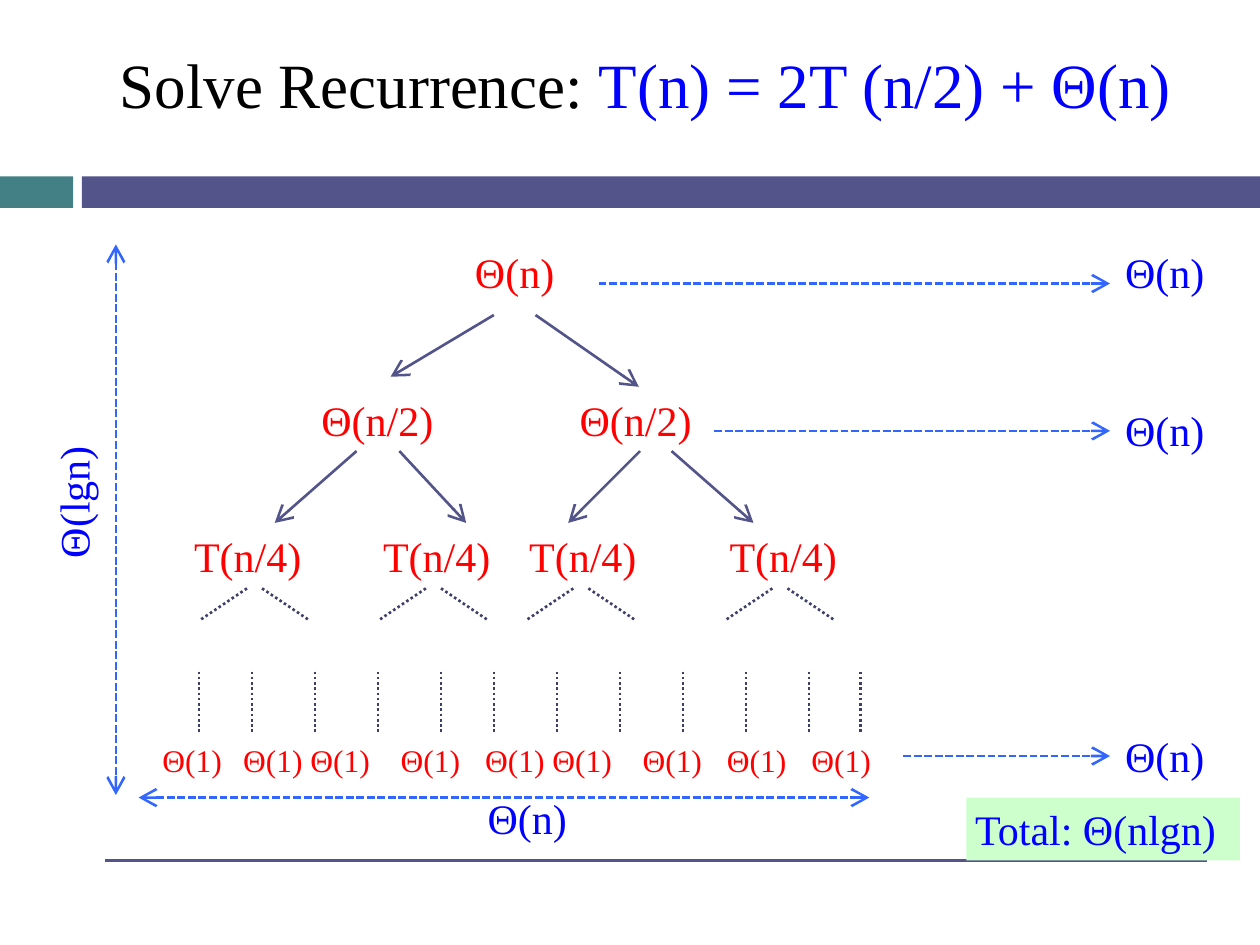
from dataclasses import dataclass

from lxml.etree import SubElement
from pptx import Presentation
from pptx.dml.color import RGBColor
from pptx.enum.dml import MSO_LINE_DASH_STYLE as DASH
from pptx.enum.shapes import MSO_CONNECTOR as CONNECTOR, MSO_SHAPE as SHAPE
from pptx.enum.text import MSO_ANCHOR as ANCHOR
from pptx.oxml.ns import qn
from pptx.util import Inches, Pt


@dataclass(frozen=True)
class Theme:
    font: str = "Times New Roman"
    title_size: float = 36
    label_size: float = 24
    leaf_size: float = 18
    line_width: float = 1.5
    black: str = "000000"
    blue: str = "0000FF"
    red: str = "FF0000"
    teal: str = "438086"
    purple: str = "53548A"
    dots: str = "3E3F68"
    measure: str = "3366FF"
    total: str = "CCFFCC"


@dataclass(frozen=True)
class Box:
    left: float
    top: float
    width: float
    height: float

    def point(self, x, y):
        return Inches(self.left + x), Inches(self.top + y)

    def inner(self, x, y, width, height):
        return Box(self.left + x, self.top + y, width, height)

    def emu(self):
        return [Inches(v) for v in (self.left, self.top, self.width, self.height)]


THEME = Theme()


def add_text(slide, box, *runs, size=THEME.label_size, inset=0.01,
             rotated=False, line_spacing=None):
    frame = slide.shapes.add_textbox(*box.emu()).text_frame
    frame.word_wrap = False
    frame.vertical_anchor = ANCHOR.TOP
    frame.margin_left = Inches(inset)
    frame.margin_top = Inches(0 if rotated else 0.02)
    frame.margin_right = frame.margin_bottom = 0
    if rotated:
        frame._txBody.bodyPr.set("vert", "vert270")
    paragraph = frame.paragraphs[0]
    if line_spacing:
        paragraph.line_spacing = Pt(line_spacing)
    for words, color in runs:
        run = paragraph.add_run()
        run.text = words
        run.font.name = THEME.font
        run.font.size = Pt(size)
        run.font.color.rgb = RGBColor.from_string(color)


def add_bar(slide, box, color):
    bar = slide.shapes.add_shape(SHAPE.RECTANGLE, *box.emu())
    bar.shadow.inherit = False
    bar.fill.solid()
    bar.fill.fore_color.rgb = RGBColor.from_string(color)
    bar.line.fill.background()


def add_line(slide, start, end, color, dash=None, heads=()):
    connector = slide.shapes.add_connector(CONNECTOR.STRAIGHT, *start, *end)
    connector.line.color.rgb = RGBColor.from_string(color)
    connector.line.width = Pt(THEME.line_width)
    if dash:
        connector.line.dash_style = dash
    properties = connector._element.spPr
    for head in heads:
        SubElement(properties.find(qn("a:ln")), qn(f"a:{head}"),
                   type="arrow", w="lg", len="lg")
    SubElement(properties, qn("a:effectLst"))


def add_measure(slide, start, end, heads=("tailEnd",)):
    add_line(slide, start, end, THEME.measure, DASH.SQUARE_DOT, heads)


def draw_header(slide, box):
    add_text(slide, box.inner(0.69, 0.34, 8.61, 0.63),
             ("Solve Recurrence: ", THEME.black),
             ("T(n) = 2T (n/2) + Θ(n)", THEME.blue),
             size=THEME.title_size, inset=0.26)
    add_bar(slide, box.inner(0, 1.4, 0.58, 0.25), THEME.teal)
    add_bar(slide, box.inner(0.65, 1.4, 9.35, 0.25), THEME.purple)


def draw_tree(slide, box):
    levels = [
        ("Θ(n)", 0, 0.66, [2.66]),
        ("Θ(n/2)", 1.17, 0.92, [1.44, 3.49]),
        ("T(n/4)", 2.25, 0.88, [0.43, 1.93, 3.09, 4.68]),
    ]
    for label, y, width, lefts in levels:
        for x in lefts:
            add_text(slide, box.inner(x, y, width, 0.43), (label, THEME.red))

    branches = [
        (2.82, 0.56, 2, 1.05), (3.15, 0.56, 3.97, 1.13),
        (1.73, 1.64, 1.08, 2.21), (2.07, 1.64, 2.6, 2.21),
        (3.98, 1.64, 3.41, 2.21), (4.23, 1.64, 4.88, 2.21),
    ]
    for x1, y1, x2, y2 in branches:
        add_line(slide, box.point(x1, y1), box.point(x2, y2),
                 THEME.purple, heads=("tailEnd",))

    for apex in (0.92, 2.34, 3.51, 5.09):
        for side in (-1, 1):
            add_line(slide, box.point(apex + side * 0.06, 2.73),
                     box.point(apex + side * 0.43, 2.98),
                     THEME.dots, DASH.ROUND_DOT)

    for x in (0.48, 0.9, 1.4, 1.9, 2.4, 2.82, 3.32, 3.82, 4.32, 4.82, 5.32, 5.73):
        add_line(slide, box.point(x, 3.39), box.point(x, 3.89),
                 THEME.dots, DASH.ROUND_DOT)

    single, pair = ("Θ(1)", 0.5), ("Θ(1) Θ(1)", 1.08)
    leaves = zip((0.18, 0.82, 2.07, 2.74, 3.99, 4.66, 5.33),
                 (single, pair, single, pair, single, single, single))
    for x, (label, width) in leaves:
        add_text(slide, box.inner(x, 3.92, width, 0.33), (label, THEME.red),
                 size=THEME.leaf_size)


def draw_extents(slide, box):
    both = ("headEnd", "tailEnd")
    add_measure(slide, box.point(0.53, 0), box.point(0.53, 4.37), both)
    add_text(slide, box.inner(0, 1.57, 0.4, 0.92), ("Θ(lgn)", THEME.blue),
             rotated=True, line_spacing=27.2)
    add_measure(slide, box.point(0.71, 4.39), box.point(6.51, 4.39), both)
    add_text(slide, box.inner(3.47, 4.33, 0.66, 0.43), ("Θ(n)", THEME.blue))


def draw_level_costs(slide, box):
    for start, arrow_y, label_y in ((0, 0.31, 0), (0.92, 1.48, 1.25), (2.42, 4.06, 3.84)):
        add_measure(slide, box.point(start, arrow_y), box.point(4.06, arrow_y))
        add_text(slide, box.inner(4.17, label_y, 0.66, 0.43), ("Θ(n)", THEME.blue))


def draw_total(slide, box):
    add_line(slide, box.point(0, 0.5), box.point(box.width - 0.26, 0.5), THEME.purple)
    total = box.inner(6.84, 0, 2.17, 0.5)
    add_bar(slide, total, THEME.total)
    add_text(slide, total.inner(0, 0.03, 2.17, 0.43),
             ("Total: Θ(nlgn)", THEME.blue), inset=0.07)


def main():
    deck = Presentation()
    deck.slide_width, deck.slide_height = Inches(10), Inches(7.5)
    slide = deck.slides.add_slide(deck.slide_layouts[6])
    draw_header(slide, Box(0, 0, 10, 1.65))
    draw_total(slide, Box(0.83, 6.33, 9.01, 0.5))
    draw_tree(slide, Box(1.1, 1.94, 5.8, 4.25))
    draw_extents(slide, Box(0.39, 1.94, 6.51, 4.76))
    draw_level_costs(slide, Box(4.75, 1.94, 4.83, 4.27))
    deck.save("out.pptx")


if __name__ == "__main__":
    main()
